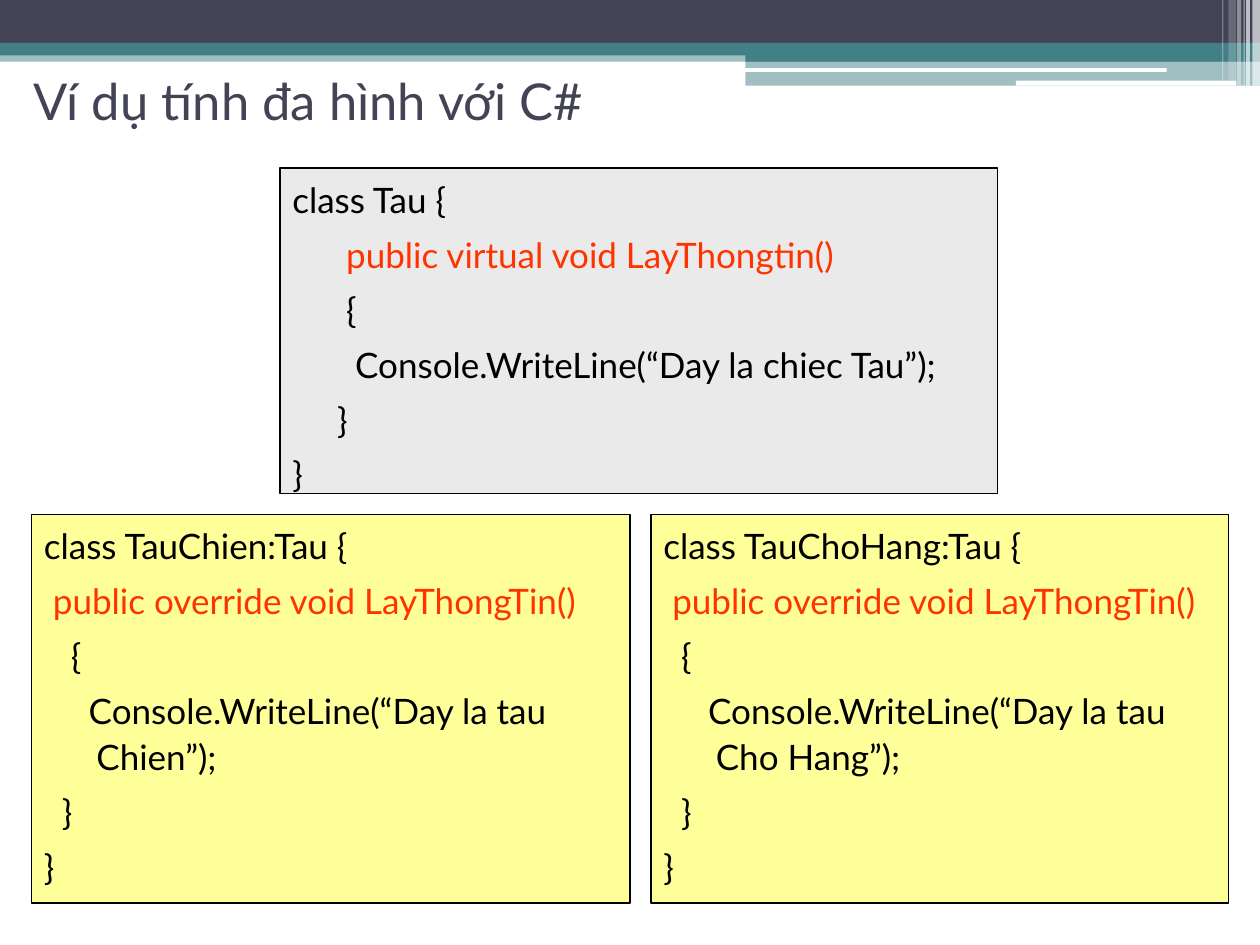
from dataclasses import dataclass
from typing import Any

from lxml.etree import SubElement
from pptx import Presentation
from pptx.dml.color import RGBColor
from pptx.enum.shapes import MSO_SHAPE
from pptx.enum.text import MSO_ANCHOR, MSO_AUTO_SIZE, PP_ALIGN
from pptx.oxml.ns import qn
from pptx.util import Pt

HUES = {
    "navy": "424456",
    "teal": "438086",
    "white": "FFFFFF",
    "gray": "EAEAEA",
    "yellow": "FFFF99",
    "black": "000000",
    "red": "FF3300",
}
FRAME = {
    "word_wrap": True,
    "auto_size": MSO_AUTO_SIZE.NONE,
    "margin_left": Pt(7.2),
    "margin_right": Pt(7.2),
    "margin_top": Pt(3.6),
    "margin_bottom": Pt(3.6),
}
CODE = {"name": "Lato", "size": Pt(20)}
HEAD = {"name": "Lato", "size": Pt(29), "bold": False}
LINE = {"alignment": PP_ALIGN.LEFT, "line_spacing": 1.1}
HANG = 30
GAP = 5


@dataclass
class Band:
    left: float
    top: float
    width: float
    height: float
    hue: str
    alpha: int = 100
    kind: Any = MSO_SHAPE.RECTANGLE


@dataclass
class Panel:
    left: float
    top: float
    width: float
    height: float
    hue: str
    lines: list[str]


def child(name: str, word: str, text: str, pad: str) -> list[str]:
    return [
        f"class {name}:Tau {{",
        " public override void LayThongTin()",
        pad + "{",
        f"     Console.WriteLine(“Day la tau {word}”);",
        "  }",
        "}",
    ] if not text else [text]


ROUND = MSO_SHAPE.ROUNDED_RECTANGLE
BANDS = [
    Band(0, 28.8, 720, 6.5, "teal", 50),
    Band(0, 0, 720, 24.5, "navy"),
    Band(0, 24.5, 720, 7.2, "teal"),
    Band(426, 28.1, 294, 7.2, "teal"),
    Band(426, 34.6, 294, 14.4, "teal", 50),
    Band(425.5, 38.9, 241.2, 2.2, "white", 100, ROUND),
    Band(580.5, 46.1, 126, 2.9, "white", 100, ROUND),
    Band(715.7, 0, 4.3, 49, "white", 65),
    Band(712.1, 0, 2.2, 49, "white", 65),
    Band(710.6, 0, 0.7, 49, "white", 60),
    Band(707, 0, 2.2, 49, "white", 40),
    Band(702, 0, 4.3, 46, "white", 20),
    Band(698.4, 0, 0.7, 46, "white", 30),
]
BASE = [
    "class Tau {",
    "      public virtual void LayThongtin()",
    "      {",
    "       Console.WriteLine(“Day la chiec Tau”);",
    "     }",
    "}",
]
PANELS = [
    Panel(160, 96, 410, 186, "gray", BASE),
    Panel(18, 294, 342, 222, "yellow", child("TauChien", "Chien", "", "   ")),
    Panel(372, 294, 330, 222, "yellow", child("TauChoHang", "Cho Hang", "", "  ")),
]


def apply(item: Any, form: dict[str, Any]) -> None:
    for key, value in form.items():
        setattr(item, key, value)


def color(hue: str) -> RGBColor:
    return RGBColor.from_string(HUES[hue])


def block(slide: Any, part: Band | Panel, kind: Any) -> Any:
    sides = (part.left, part.top, part.width, part.height)
    shape = slide.shapes.add_shape(kind, *map(Pt, sides))
    shape.shadow.inherit = False
    shape.fill.solid()
    shape.fill.fore_color.rgb = color(part.hue)
    return shape


def draw_band(slide: Any, band: Band) -> None:
    shape = block(slide, band, band.kind)
    shape.line.fill.background()
    if band.alpha < 100:
        tint = shape.element.spPr.find(f".//{qn('a:srgbClr')}")
        SubElement(tint, qn("a:alpha"), val=str(band.alpha * 1000))


def draw_panel(slide: Any, panel: Panel) -> None:
    shape = block(slide, panel, MSO_SHAPE.RECTANGLE)
    shape.line.color.rgb = color("black")
    shape.line.width = Pt(0.75)
    frame = shape.text_frame
    apply(frame, FRAME | {"vertical_anchor": MSO_ANCHOR.TOP})
    for row, line in enumerate(panel.lines):
        para = frame.add_paragraph() if row else frame.paragraphs[0]
        props = para._p.get_or_add_pPr()
        props.set("marL", str(Pt(HANG)))
        props.set("indent", str(-Pt(HANG)))
        apply(para, LINE | {"space_before": Pt(GAP if row else 0)})
        run = para.add_run()
        run.text = line
        apply(run.font, CODE)
        run.font.color.rgb = color("red" if "public" in line else "black")


def draw_title(slide: Any, text: str) -> None:
    title = slide.shapes.title
    title.element.getparent().append(title.element)
    place = {"left": 12, "top": 36, "width": 540, "height": 42}
    apply(title, {key: Pt(value) for key, value in place.items()})
    frame = title.text_frame
    apply(frame, FRAME | {"vertical_anchor": MSO_ANCHOR.MIDDLE})
    para = frame.paragraphs[0]
    para.alignment = PP_ALIGN.LEFT
    run = para.add_run()
    run.text = text
    apply(run.font, HEAD)
    run.font.color.rgb = color("navy")


def main() -> None:
    deck = Presentation()
    apply(deck, {"slide_width": Pt(720), "slide_height": Pt(540)})
    slide = deck.slides.add_slide(deck.slide_layouts[5])
    for band in BANDS:
        draw_band(slide, band)
    draw_title(slide, "Ví dụ tính đa hình với C#")
    for panel in PANELS:
        draw_panel(slide, panel)
    deck.save("out.pptx")


if __name__ == "__main__":
    main()
